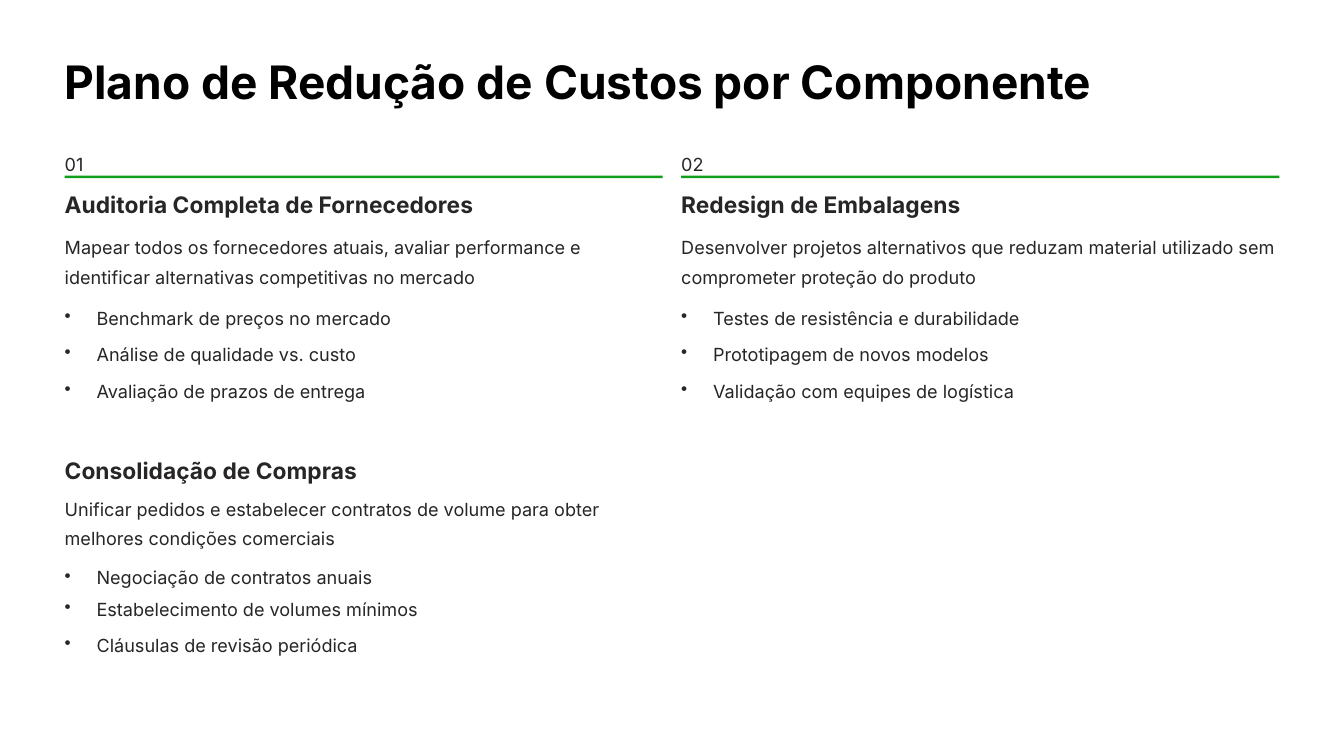
"""Builds the slide with the cost reduction plan by component."""
from lxml import etree
from pptx import Presentation
from pptx.dml.color import RGBColor
from pptx.enum import shapes, text
from pptx.oxml.ns import qn
from pptx.util import Inches, Pt

TITLE = "Plano de Redução de Custos por Componente"
LEFT, RIGHT, COLUMN = 0.77, 8.11, 7.12
INK, GREEN, BLACK = "272525", "119E1B", "000000"
BODY = {"size": 15.5, "leading": 25}
HEADING = {"size": 19.5, "leading": 24.5, "bold": True}
HEADLINE = {"size": 39.5, "leading": 49.5, "bold": True, "ink": BLACK}
TOP_ROW = {"heading": 2.26, "summary": 2.73, "list": 3.57, "gaps": (0, 6.3, 6.3)}
LOW_ROW = {"heading": 5.42, "summary": 5.84, "list": 6.66, "gaps": (0, 1.7, 6.5)}

NUMBERS = [("01", LEFT), ("02", RIGHT)]
ACTIONS = [
    (LEFT, TOP_ROW, "Auditoria Completa de Fornecedores",
     "Mapear todos os fornecedores atuais, avaliar performance e "
     "identificar alternativas competitivas no mercado",
     ["Benchmark de preços no mercado", "Análise de qualidade vs. custo",
      "Avaliação de prazos de entrega"]),
    (RIGHT, TOP_ROW, "Redesign de Embalagens",
     "Desenvolver projetos alternativos que reduzam material utilizado sem "
     "comprometer proteção do produto",
     ["Testes de resistência e durabilidade", "Prototipagem de novos modelos",
      "Validação com equipes de logística"]),
    (LEFT, LOW_ROW, "Consolidação de Compras",
     "Unificar pedidos e estabelecer contratos de volume para obter "
     "melhores condições comerciais",
     ["Negociação de contratos anuais", "Estabelecimento de volumes mínimos",
      "Cláusulas de revisão periódica"]),
]


def color(value):
    return RGBColor.from_string(value)


def add_bullet(p):
    pPr = p._p.get_or_add_pPr()
    pPr.set("marL", str(Inches(0.38)))
    pPr.set("indent", str(-Inches(0.38)))
    etree.SubElement(pPr, qn("a:buChar")).set("char", "•")


def write(sp, lines, look, gaps=(0,), bullets=False):
    tf = sp.text_frame
    frame = {"word_wrap": True, "auto_size": text.MSO_AUTO_SIZE.NONE,
             "vertical_anchor": text.MSO_ANCHOR.TOP, "margin_left": 0,
             "margin_top": 0, "margin_right": 0, "margin_bottom": 0}
    for name, value in frame.items():
        setattr(tf, name, value)
    for i, (line, gap) in enumerate(zip(lines, gaps)):
        p = tf.paragraphs[0] if i == 0 else tf.add_paragraph()
        if bullets:
            add_bullet(p)
        layout = {"alignment": text.PP_ALIGN.LEFT, "space_before": Pt(gap),
                  "line_spacing": Pt(look["leading"])}
        for name, value in layout.items():
            setattr(p, name, value)
        r = p.add_run()
        r.text = line
        font = {"name": "Inter", "size": Pt(look["size"]), "bold": look.get("bold", False)}
        for name, value in font.items():
            setattr(r.font, name, value)
        r.font.color.rgb = color(look.get("ink", INK))


def add_text(s, x, y, height, lines, look, **options):
    sp = s.shapes.add_textbox(Inches(x), Inches(y), Inches(COLUMN), Inches(height))
    write(sp, lines, look, **options)


def add_rule(s, x):
    sp = s.shapes.add_shape(shapes.MSO_SHAPE.RECTANGLE, Inches(x), Inches(2.09),
                            Inches(COLUMN), Inches(0.03))
    sp.shadow.inherit = False
    sp.fill.solid()
    sp.fill.fore_color.rgb = color(GREEN)
    sp.line.fill.background()


def main():
    prs = Presentation()
    prs.slide_width, prs.slide_height = Inches(16), Inches(9)
    s = prs.slides.add_slide(prs.slide_layouts[5])
    title = s.shapes.title
    place = {"left": LEFT, "top": 0.61, "width": 12.33, "height": 0.69}
    for name, value in place.items():
        setattr(title, name, Inches(value))
    write(title, [TITLE], HEADLINE)
    for number, x in NUMBERS:
        add_text(s, x, 1.74, 0.28, [number], BODY)
        add_rule(s, x)
    for x, row, heading, summary, steps in ACTIONS:
        add_text(s, x, row["heading"], 0.35, [heading], HEADING)
        add_text(s, x, row["summary"], 0.71, [summary], BODY)
        add_text(s, x, row["list"], 1.22, steps, BODY, gaps=row["gaps"], bullets=True)
    prs.save("out.pptx")


if __name__ == "__main__":
    main()
